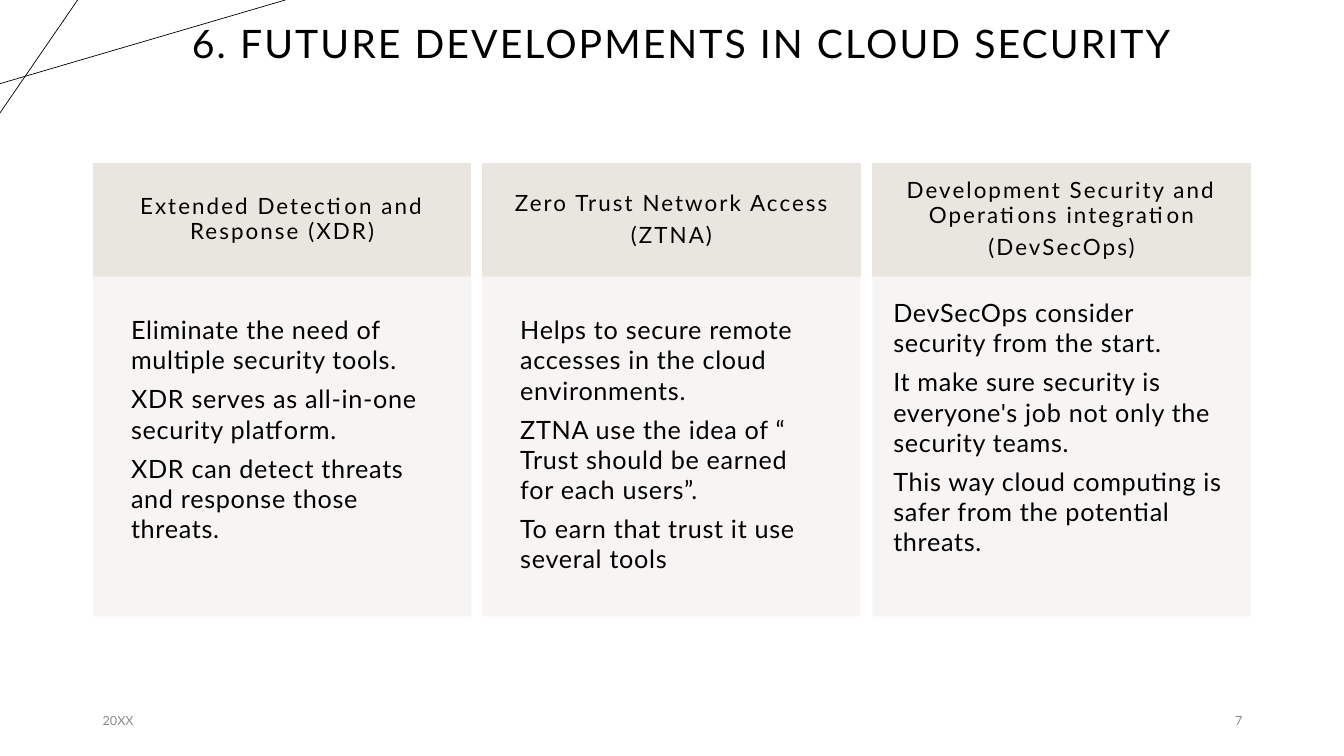
"""Build a slide with three columns on future developments in cloud security."""
import pptx
import pptx.dml.color
import pptx.enum.shapes
import pptx.enum.text
import pptx.oxml
import pptx.oxml.ns
import pptx.util

PX = 9144
FONT = "Lato"
COLOURS = {"text": "000000", "header": "E9E6DF", "body": "F7F5F3", "footer": "8C8C8C"}
ALIGN = pptx.enum.text.PP_ALIGN
ANCHOR = pptx.enum.text.MSO_ANCHOR
COLUMN_LEFT, COLUMN_WIDTH = 93, 374
HEADER_TOP, HEADER_HEIGHT = 162, 112
BODY_TOP, BODY_HEIGHT = 275, 336

COLUMNS = [
    (["Extended Detection and Response (XDR)"],
     ["Eliminate the need of multiple security tools.",
      "XDR serves as all-in-one security platform.",
      "XDR can detect threats and response those threats."], 37),
    (["Zero Trust Network Access", "(ZTNA)"],
     ["Helps to secure remote accesses in the cloud environments.",
      "ZTNA use the idea of “ Trust should be earned for each users”.",
      "To earn that trust it use several tools"], 37),
    (["Development Security and Operations integration", "(DevSecOps)"],
     ["DevSecOps consider security from the start.",
      "It make sure security is everyone's job not only the security teams.",
      "This way cloud computing is safer from the potential threats."], 20),
]


def px(*lengths):
    """Turn pixel lengths into EMU."""
    return [length * PX for length in lengths]


def rgb(name):
    """Look up a named colour."""
    return pptx.dml.color.RGBColor.from_string(COLOURS[name])


def set_alpha(fill, percent):
    """Make a solid colour partly transparent."""
    for colour in fill.iter(pptx.oxml.ns.qn("a:srgbClr")):
        alpha = pptx.oxml.parse_xml(
            f'<a:alpha {pptx.oxml.ns.nsdecls("a")} val="{percent * 1000}"/>')
        colour.append(alpha)


def write(box, lines, size, align=ALIGN.LEFT, anchor=ANCHOR.TOP, colour="text",
          tracking=0, leading=1.0, after=0, inset=None):
    """Write paragraphs of one style into a box."""
    frame = box.text_frame
    frame.word_wrap = True
    frame.vertical_anchor = anchor
    if inset is not None:
        frame.margin_left = frame.margin_top = inset * PX
        frame.margin_right = frame.margin_bottom = inset * PX
    for index, line in enumerate(lines):
        para = frame.add_paragraph() if index else frame.paragraphs[0]
        para.alignment = align
        para.line_spacing = leading
        para.space_after = pptx.util.Pt(after)
        span = para.add_run()
        span.text = line
        span.font.name = FONT
        span.font.size = pptx.util.Pt(size)
        span.font.color.rgb = rgb(colour)
        if tracking:
            span.font._element.set("spc", str(round(tracking * 100)))


def add_label(page, bounds, line, size, **style):
    """Add a text box with one line."""
    write(page.shapes.add_textbox(*px(*bounds)), [line], size, **style)


def add_panel(page, bounds, colour, opacity=100):
    """Add a rectangle with a matching outline."""
    panel = page.shapes.add_shape(pptx.enum.shapes.MSO_SHAPE.RECTANGLE, *px(*bounds))
    panel.shadow.inherit = False
    panel.fill.solid()
    panel.fill.fore_color.rgb = rgb(colour)
    panel.line.color.rgb = rgb(colour)
    panel.line.width = pptx.util.Pt(1)
    if opacity < 100:
        set_alpha(panel._element.spPr, opacity)
    return panel


def add_line(page, ends):
    """Add a thin straight line."""
    line = page.shapes.add_connector(pptx.enum.shapes.MSO_CONNECTOR.STRAIGHT, *px(*ends))
    line.line.color.rgb = rgb("text")
    line.line.width = pptx.util.Pt(0.5)
    line._element.spPr.append(
        pptx.oxml.parse_xml(f'<a:effectLst {pptx.oxml.ns.nsdecls("a")}/>'))


def add_column(page, left, heading, points, inset):
    """Add a heading panel above a panel of points."""
    header = add_panel(page, (left, HEADER_TOP, COLUMN_WIDTH, HEADER_HEIGHT), "header")
    write(header, heading, 16, align=ALIGN.CENTER, anchor=ANCHOR.MIDDLE,
          tracking=1.5, leading=0.9, after=5.6, inset=30)
    body = add_panel(page, (left, BODY_TOP, COLUMN_WIDTH, BODY_HEIGHT), "body", 90)
    write(body, points, 18, tracking=0.5, after=6.3, inset=inset)


def main():
    """Build and save the deck."""
    deck = pptx.Presentation()
    deck.slide_width, deck.slide_height = px(1333, 750)
    page = deck.slides.add_slide(deck.slide_layouts[6])
    add_line(page, (0, 83, 283, 0))
    add_line(page, (77, 0, 0, 112))
    add_label(page, (154, 0, 1044, 71), "6. FUTURE DEVELOPMENTS IN CLOUD SECURITY", 28,
              align=ALIGN.CENTER, anchor=ANCHOR.BOTTOM, tracking=1.5, leading=0.9)
    for index, column in enumerate(COLUMNS):
        add_column(page, COLUMN_LEFT + index * 773 // 2, *column)
    add_label(page, (92, 695, 300, 40), "20XX", 9, anchor=ANCHOR.MIDDLE, colour="footer")
    add_label(page, (942, 695, 300, 40), "7", 9, align=ALIGN.RIGHT,
              anchor=ANCHOR.MIDDLE, colour="footer")
    deck.save("out.pptx")


if __name__ == "__main__":
    main()
